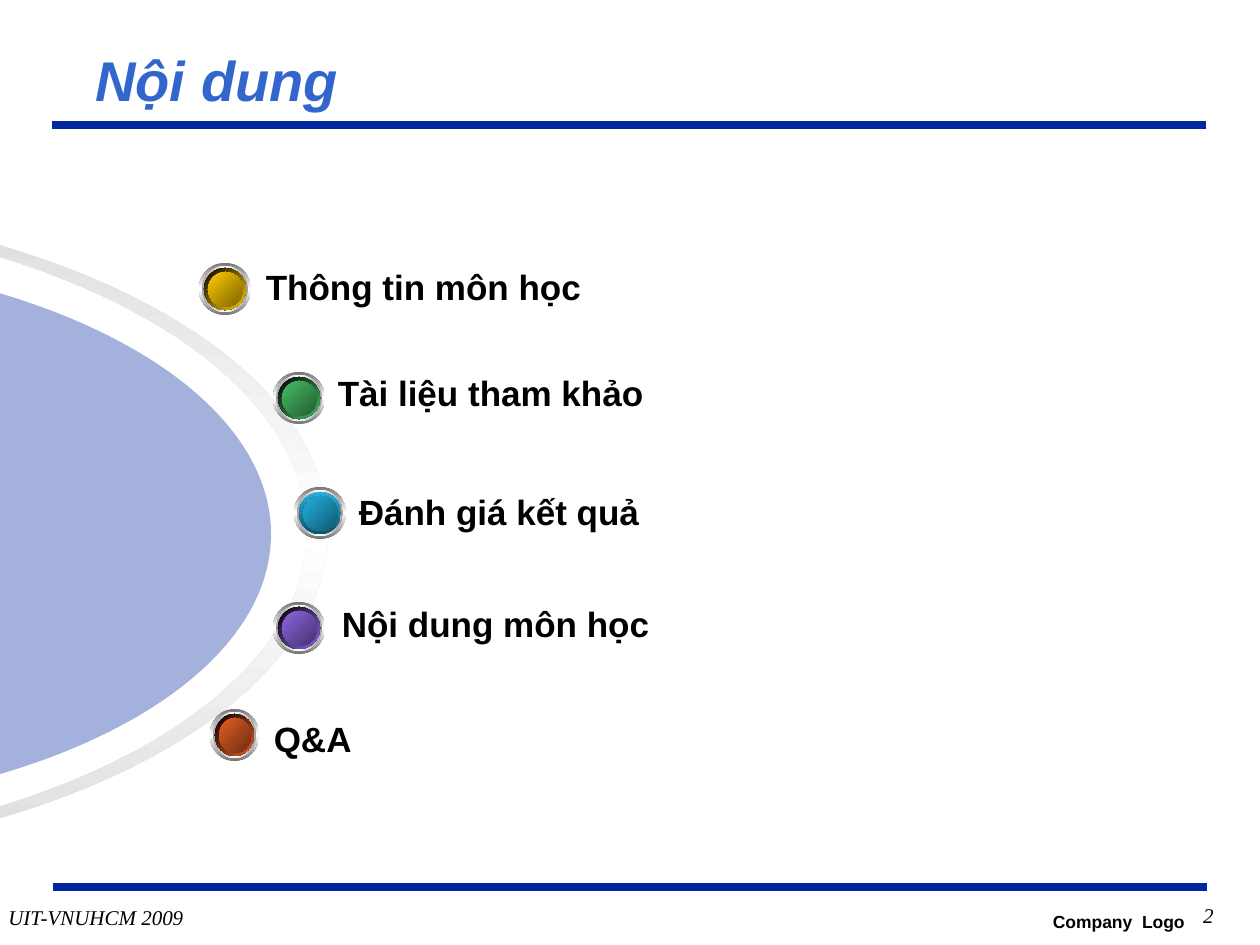
from typing import NamedTuple

from lxml import etree
from pptx import Presentation
from pptx import util as u
from pptx.dml.color import RGBColor
from pptx.enum import shapes, text
from pptx.oxml.ns import qn

SCALE = 914400 / 126
NAVY = RGBColor(0x00, 0x27, 0x9F)
BLUE = RGBColor(0x33, 0x66, 0xCC)
BLACK = RGBColor(0x00, 0x00, 0x00)
WHITE = RGBColor(0xFF, 0xFF, 0xFF)
RED = RGBColor(0xFC, 0x01, 0x28)
TEAL = RGBColor(0x21, 0x6B, 0x6B)
PALE = RGBColor(0xDC, 0xDC, 0xDC)
GREY = RGBColor(0xA2, 0xA2, 0xA2)
DARK = RGBColor(0x76, 0x76, 0x76)
GOLD = RGBColor(0xFF, 0xCC, 0x00)
BROWN = RGBColor(0x7C, 0x63, 0x00)
GREEN = RGBColor(0x48, 0xBE, 0x67)
PINE = RGBColor(0x23, 0x5C, 0x32)
CYAN = RGBColor(0x21, 0xB3, 0xE1)
DEEP = RGBColor(0x0F, 0x53, 0x68)
SEA = RGBColor(0x10, 0x57, 0x6D)
VIOLET = RGBColor(0x8D, 0x67, 0xE1)
PLUM = RGBColor(0x45, 0x32, 0x6D)
ORANGE = RGBColor(0xE3, 0x5E, 0x23)
RUST = RGBColor(0x6E, 0x2E, 0x11)

LEFT, MID, RIGHT = text.PP_ALIGN.LEFT, text.PP_ALIGN.CENTER, text.PP_ALIGN.RIGHT
Point = tuple[int, int]


class Fade(NamedTuple):
    stops: tuple[RGBColor, ...]
    angle: int


class Font(NamedTuple):
    name: str
    size: int
    color: RGBColor = BLACK
    bold: bool = False
    italic: bool = False


class Note(NamedTuple):
    words: str
    box: tuple[int, int, int, int]
    font: Font
    align: text.PP_ALIGN
    wrap: bool = True
    before: int = 0
    anchor: text.MSO_ANCHOR = text.MSO_ANCHOR.TOP


class Item(NamedTuple):
    words: str
    label: Point
    button: Point
    width: int
    rim: Fade
    face: Fade


class Curve(NamedTuple):
    points: tuple[Point, Point, Point]


LABEL = Font("Arial", 20, bold=True)
SERIF = Font("Times New Roman", 12, italic=True)
NOTES = [
    Note("UIT-VNUHCM 2009", (-4, 898, 200, 37), SERIF, MID, False, 3),
    Note("Company  Logo", (987, 905, 210, 40), Font("Arial", 10, bold=True), RIGHT),
    Note("Nội dung", (83, 42, 1118, 74), Font("Arial", 32, BLUE, True, True), LEFT,
         anchor=text.MSO_ANCHOR.MIDDLE),
    Note("2", (1068, 896, 158, 42), SERIF, RIGHT),
]
ITEMS = [
    Item("Thông tin môn học", (243, 251), (199, 263), 52,
         Fade((BLACK, GOLD), 45), Fade((GOLD, BROWN), 45)),
    Item("Tài liệu tham khảo", (315, 357), (273, 372), 52,
         Fade((BLACK, GREEN), 45), Fade((GREEN, PINE), 45)),
    Item("Đánh giá kết quả", (336, 476), (294, 487), 52,
         Fade((CYAN, DEEP), 90), Fade((CYAN, SEA), 45)),
    Item("Nội dung môn học", (319, 588), (273, 602), 52,
         Fade((BLACK, VIOLET), 45), Fade((VIOLET, PLUM), 45)),
    Item("Q&A", (251, 703), (210, 709), 49,
         Fade((BLACK, ORANGE), 45), Fade((ORANGE, RUST), 45)),
]
RING = [
    Curve(((24, 212), (307, 355), (307, 532))),
    Curve(((307, 708), (24, 852), (-330, 854))),
    (-330, 864),
    Curve(((35, 862), (328, 713), (328, 532))),
    Curve(((328, 350), (35, 202), (-330, 199))),
]
DISC = [
    Curve(((28, 256), (271, 381), (271, 534))),
    Curve(((271, 688), (28, 811), (-271, 811))),
]


def px(*sizes: int) -> list[u.Emu]:
    return [u.Emu(round(n * SCALE)) for n in sizes]


def shade(shape, fade: Fade) -> None:
    shape.fill.gradient()
    grad = shape._element.spPr.find(qn("a:gradFill"))
    stops = grad.find(qn("a:gsLst"))
    for stop in list(stops):
        stops.remove(stop)
    for n, color in enumerate(fade.stops):
        place = 100000 * n // (len(fade.stops) - 1)
        stop = etree.SubElement(stops, qn("a:gs"), pos=str(place))
        etree.SubElement(stop, qn("a:srgbClr"), val=str(color))
    grad.find(qn("a:lin")).set("ang", str(fade.angle * 60000))


def write(frame, words: str, font: Font, align: text.PP_ALIGN) -> None:
    frame.text = words
    line = frame.paragraphs[0]
    line.alignment = align
    face = line.runs[0].font
    face.name, face.size = font.name, u.Pt(font.size)
    face.bold, face.italic = font.bold, font.italic
    face.color.rgb = font.color


def add_note(slide, note: Note) -> None:
    frame = slide.shapes.add_textbox(*px(*note.box)).text_frame
    frame.word_wrap = note.wrap
    frame.vertical_anchor = note.anchor
    write(frame, note.words, note.font, note.align)
    frame.paragraphs[0].space_before = u.Pt(note.before)


def add_rule(slide, left: int, top: int) -> None:
    rule = slide.shapes.add_connector(
        shapes.MSO_CONNECTOR.STRAIGHT, *px(left, top, left + 1154, top))
    rule.line.color.rgb = NAVY
    rule.line.width = u.Pt(4.5)
    etree.SubElement(rule._element.spPr, qn("a:effectLst"))


def add_bow(slide, start: Point, parts: list):
    points = [p for part in parts
              for p in (part.points if isinstance(part, Curve) else [part])]
    pen = slide.shapes.build_freeform(*start, scale=SCALE)
    bow = pen.add_line_segments(points, close=True).convert_to_shape()
    lines = iter(list(bow._element.iter(qn("a:lnTo"))))
    for part in parts:
        first = next(lines)
        if isinstance(part, Curve):
            first.tag = qn("a:cubicBezTo")
            for other in (next(lines), next(lines)):
                first.append(other[0])
                other.getparent().remove(other)
    bow.shadow.inherit = False
    bow.line.fill.background()
    return bow


def add_label(slide, item: Item) -> None:
    label = slide.shapes.add_shape(
        shapes.MSO_SHAPE.ROUNDED_RECTANGLE, *px(*item.label, 609, 71))
    label.adjustments[0] = 0.5
    label.shadow.inherit = False
    label.fill.background()
    label.line.color.rgb = WHITE
    label.line.width = u.Pt(2.25)
    label.text_frame.word_wrap = False
    label.text_frame.vertical_anchor = text.MSO_ANCHOR.MIDDLE
    write(label.text_frame, item.words, LABEL, LEFT)


def add_button(slide, item: Item) -> None:
    group = slide.shapes.add_group_shape()
    left, top = item.button
    layers = [
        (0, 0, Fade((DARK, WHITE, DARK), 90)),
        (3, 6, Fade((GREY, WHITE, GREY), 0)),
        (5, 10, Fade((WHITE, RED, WHITE), 45)),
        (5, 10, item.rim),
        (9, 17, Fade((TEAL, RED, TEAL), 315)),
        (9, 17, item.face),
    ]
    for inset, trim, fade in layers:
        oval = group.shapes.add_shape(
            shapes.MSO_SHAPE.OVAL,
            *px(left + inset, top + inset, item.width - trim, 52 - trim))
        oval.shadow.inherit = False
        oval.line.fill.background()
        shade(oval, fade)


def main() -> None:
    deck = Presentation()
    deck.slide_width, deck.slide_height = px(1260, 945)
    slide = deck.slides.add_slide(deck.slide_layouts[6])
    add_rule(slide, 52, 125)
    add_rule(slide, 53, 887)
    for note in NOTES:
        add_note(slide, note)
    shade(add_bow(slide, (-330, 209), RING), Fade((PALE, WHITE, PALE), 90))
    disc = add_bow(slide, (-271, 256), DISC)
    disc.fill.solid()
    disc.fill.fore_color.rgb = NAVY
    tint = disc._element.spPr.find(qn("a:solidFill"))[0]
    etree.SubElement(tint, qn("a:alpha"), val="36000")
    for item in ITEMS:
        add_label(slide, item)
    for item in ITEMS:
        add_button(slide, item)
    deck.save("out.pptx")


if __name__ == "__main__":
    main()
